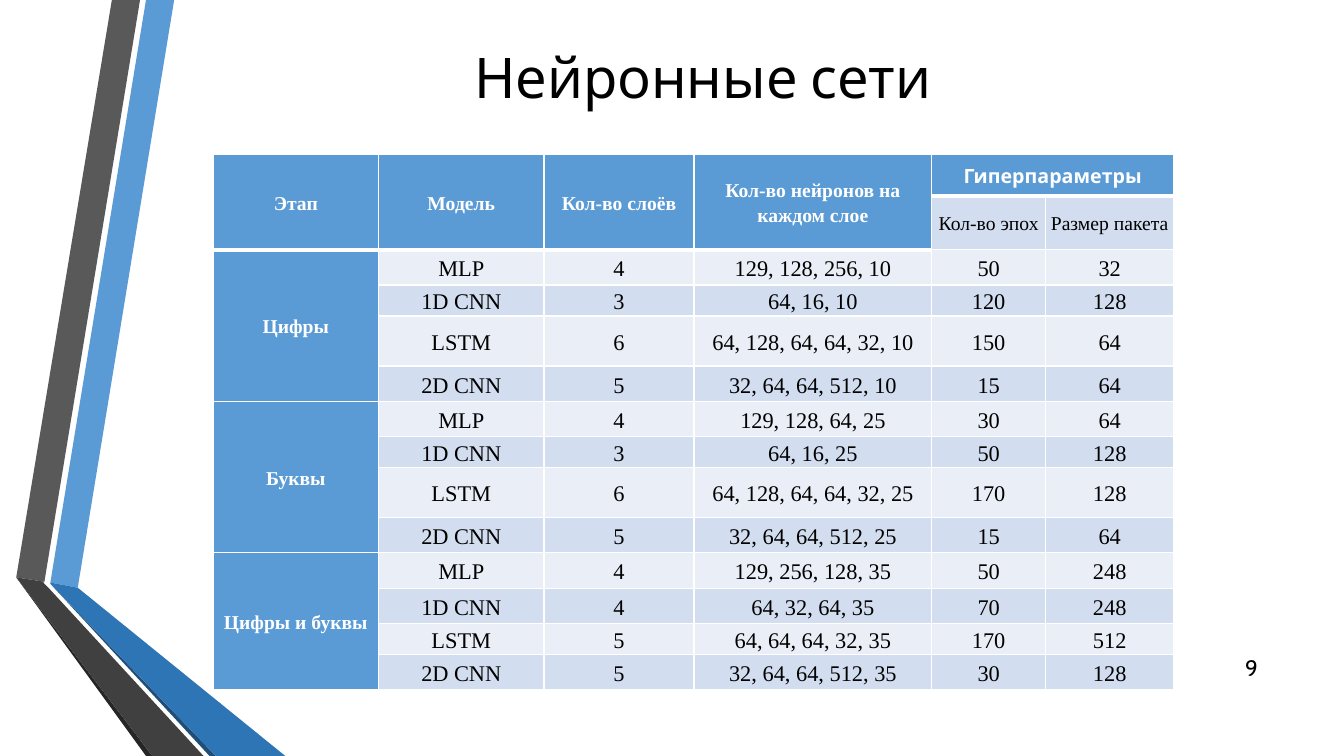
from lxml import etree
from pptx import Presentation, util as u
from pptx.dml.color import RGBColor
from pptx.enum import text as t
from pptx.oxml.ns import qn

COLORS = {
    "white": "FFFFFF", "black": "000000",
    "blue": "5B9BD5", "blue_mid": "2E75B6", "blue_dark": "1F4E79",
    "gray": "595959", "gray_mid": "404040", "gray_dark": "262626",
    "band_dark": "D2DEEF", "band_light": "EAEFF7",
}
SERIF, SANS = "Times New Roman", "Cabin"

# Ribbon colour and its corners in cm, from back to front
RIBBONS = [
    ("blue", [(1.27, 14.68), (1.96, 14.81), (4.39, 0), (3.68, 0)]),
    ("gray", [(3.53, 0), (2.82, 0), (0.41, 14.55), (1.12, 14.66)]),
    ("gray_dark", [(0.41, 14.55), (3.68, 19.05), (3.84, 19.05)]),
    ("blue_dark", [(1.27, 14.71), (5.28, 19.05), (5.44, 19.05)]),
    ("blue_mid", [(1.27, 14.71), (5.44, 19.05), (7.19, 19.05),
                  (1.96, 14.81), (1.27, 14.68)]),
    ("gray_mid", [(5.13, 19.05), (1.22, 14.81), (1.09, 14.68), (1.12, 14.66),
                  (0.41, 14.55), (3.84, 19.05)]),
]

HEADERS = ["Этап", "Модель", "Кол-во слоёв", "Кол-во нейронов на каждом слое"]
HYPERPARAMETERS = ["Кол-во эпох", "Размер пакета"]
STAGES = {
    "Цифры": [
        ("MLP", "4", "129, 128, 256, 10", "50", "32"),
        ("1D CNN", "3", "64, 16, 10", "120", "128"),
        ("LSTM", "6", "64, 128, 64, 64, 32, 10", "150", "64"),
        ("2D CNN", "5", "32, 64, 64, 512, 10", "15", "64"),
    ],
    "Буквы": [
        ("MLP", "4", "129, 128, 64, 25", "30", "64"),
        ("1D CNN", "3", "64, 16, 25", "50", "128"),
        ("LSTM", "6", "64, 128, 64, 64, 32, 25", "170", "128"),
        ("2D CNN", "5", "32, 64, 64, 512, 25", "15", "64"),
    ],
    "Цифры и буквы": [
        ("MLP", "4", "129, 256, 128, 35", "50", "248"),
        ("1D CNN", "4", "64, 32, 64, 35", "70", "248"),
        ("LSTM", "5", "64, 64, 64, 32, 35", "170", "512"),
        ("2D CNN", "5", "32, 64, 64, 512, 35", "30", "128"),
    ],
}
COLUMN_WIDTHS = [4.17, 4.17, 3.78, 5.99, 2.87, 3.23]
ROW_HEIGHTS = ([1.04, 1.35] + [0.89, 0.76, 1.26, 0.89] * 2
               + [0.89, 0.89, 0.76, 0.89])


def rgb(color):
    return RGBColor.from_string(COLORS[color])


def write(frame, content, size=16, font=SANS, color="black", bold=False,
          align=t.PP_ALIGN.CENTER, spacing=1.0):
    frame.word_wrap = True
    frame.vertical_anchor = t.MSO_ANCHOR.MIDDLE
    paragraph = frame.paragraphs[0]
    paragraph.alignment = align
    paragraph.line_spacing = spacing
    run = paragraph.add_run()
    run.text = content
    run.font.size = u.Pt(size)
    run.font.name = font
    run.font.bold = bold
    run.font.color.rgb = rgb(color)


def place(shape, left, top, width, height):
    shape.left, shape.top = u.Cm(left), u.Cm(top)
    shape.width, shape.height = u.Cm(width), u.Cm(height)


def add_title(slide, content, box):
    title = slide.shapes.title
    place(title, *box)
    write(title.text_frame, content, size=40)


def add_ribbons(slide, left, top):
    for color, corners in RIBBONS:
        points = [(u.Cm(left + x), u.Cm(top + y)) for x, y in corners]
        outline = slide.shapes.build_freeform(*points[0])
        outline.add_line_segments(points[1:], close=True)
        ribbon = outline.convert_to_shape()
        ribbon.shadow.inherit = False
        ribbon.fill.solid()
        ribbon.fill.fore_color.rgb = rgb(color)
        ribbon.line.fill.background()


def add_page_number(slide, number, box):
    page = slide.shapes.add_textbox(*(u.Cm(length) for length in box))
    write(page.text_frame, number, align=t.PP_ALIGN.RIGHT)


def set_borders(cell, bottom):
    """Draw white borders: 1 pt, except the bottom one in the given points."""
    properties = cell._tc.get_or_add_tcPr()
    widths = {"a:lnL": 1, "a:lnR": 1, "a:lnT": 1, "a:lnB": bottom}
    for position, (side, width) in enumerate(widths.items()):
        line = etree.Element(qn(side), w=str(u.Pt(width)))
        fill = etree.SubElement(line, qn("a:solidFill"))
        etree.SubElement(fill, qn("a:srgbClr"), val=COLORS["white"])
        properties.insert(position, line)


def style_cell(cell, row, column):
    is_head = row == 0 or column == 0 or (row == 1 and column < 4)
    band = "band_light" if row % 2 == 0 else "band_dark"
    cell.fill.solid()
    cell.fill.fore_color.rgb = rgb("blue" if is_head else band)
    cell.margin_left = cell.margin_right = u.Cm(0.1)
    cell.margin_top = cell.margin_bottom = 0
    cell.vertical_anchor = t.MSO_ANCHOR.MIDDLE
    set_borders(cell, 3 if row == 0 or (row == 1 and column < 4) else 1)


def add_network_table(slide, left, top):
    table = slide.shapes.add_table(
        len(ROW_HEIGHTS), len(COLUMN_WIDTHS), u.Cm(left), u.Cm(top),
        u.Cm(sum(COLUMN_WIDTHS)), u.Cm(sum(ROW_HEIGHTS))).table
    for column, width in zip(table.columns, COLUMN_WIDTHS):
        column.width = u.Cm(width)
    for row, height in zip(table.rows, ROW_HEIGHTS):
        row.height = u.Cm(height)
    for r in range(len(ROW_HEIGHTS)):
        for c in range(len(COLUMN_WIDTHS)):
            style_cell(table.cell(r, c), r, c)

    def fill_cell(r, c, content, **style):
        write(table.cell(r, c).text_frame, content,
              **{"font": SERIF, "spacing": 1.15, **style})

    head = {"size": 14, "color": "white", "bold": True}
    for c, header in enumerate(HEADERS):
        table.cell(0, c).merge(table.cell(1, c))
        fill_cell(0, c, header, **head)
    table.cell(0, 4).merge(table.cell(0, 5))
    fill_cell(0, 4, "Гиперпараметры", font=SANS, **head)
    for c, header in enumerate(HYPERPARAMETERS, start=4):
        fill_cell(1, c, header, size=14)

    first = 2
    for stage, models in STAGES.items():
        table.cell(first, 0).merge(table.cell(first + len(models) - 1, 0))
        fill_cell(first, 0, stage, **head)
        for r, model in enumerate(models, start=first):
            for c, value in enumerate(model, start=1):
                fill_cell(r, c, value)
        first += len(models)


def main():
    deck = Presentation()
    deck.slide_width, deck.slide_height = u.Cm(33.87), u.Cm(19.05)
    slide = deck.slides.add_slide(deck.slide_layouts[5])
    add_ribbons(slide, 0, 0)
    add_title(slide, "Нейронные сети", (6.38, 0, 22.66, 3.84))
    add_page_number(slide, "9", (30.43, 16.31, 1.52, 1.02))
    add_network_table(slide, 5.37, 3.89)
    deck.save("out.pptx")


if __name__ == "__main__":
    main()
